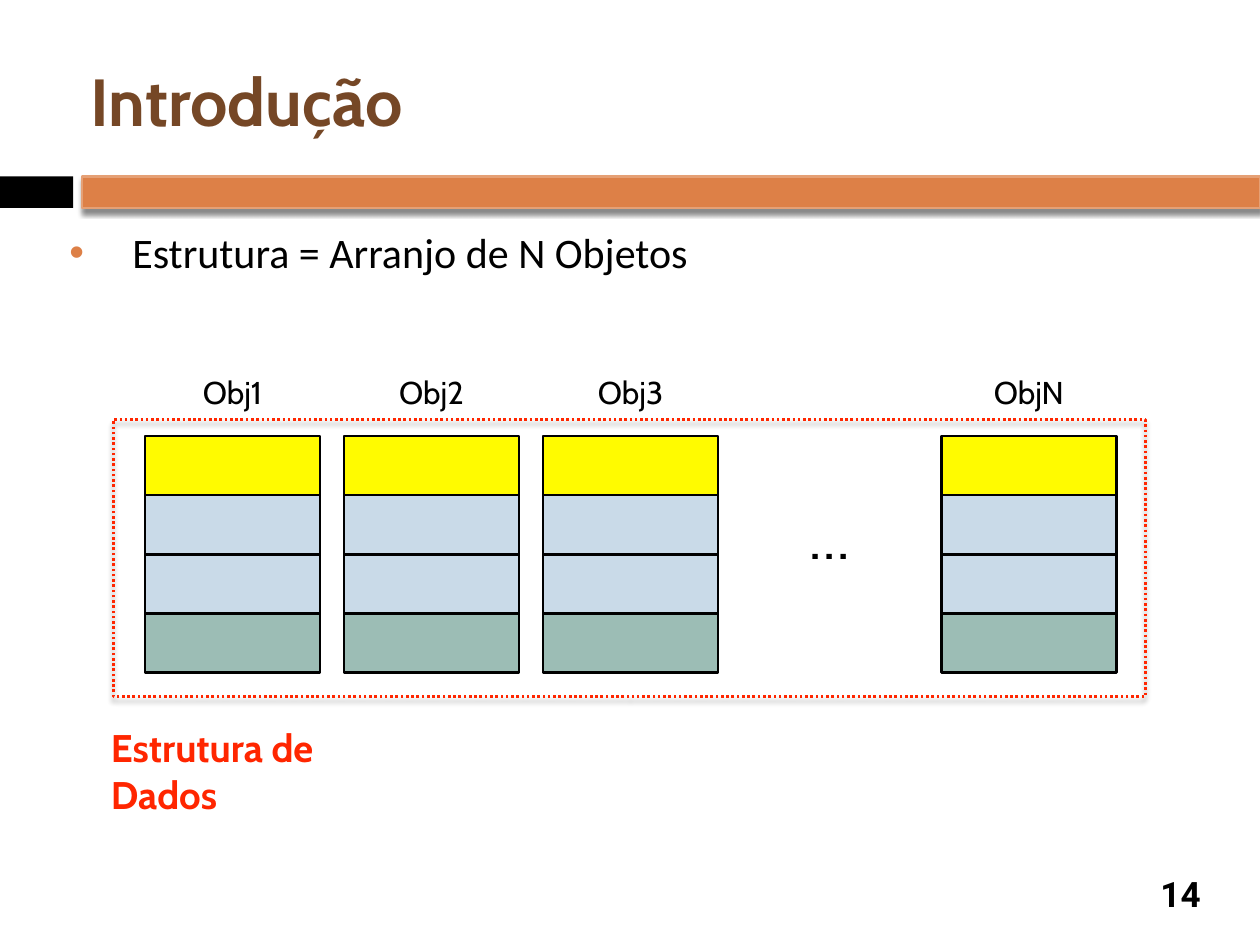
from lxml import etree
from pptx import Presentation
from pptx.dml.color import RGBColor
from pptx.enum.dml import MSO_LINE
from pptx.enum.shapes import MSO_SHAPE
from pptx.enum.text import MSO_ANCHOR, MSO_AUTO_SIZE, PP_ALIGN
from pptx.oxml.ns import qn
from pptx.util import Inches, Pt

RECTANGLE = MSO_SHAPE.RECTANGLE
DOTTED = MSO_LINE.ROUND_DOT
LEFT, CENTER = PP_ALIGN.LEFT, PP_ALIGN.CENTER
TOP, MIDDLE = MSO_ANCHOR.TOP, MSO_ANCHOR.MIDDLE
NO_AUTOFIT = MSO_AUTO_SIZE.NONE

THEME = {
    "black": "000000", "orange": "DD8047", "light orange": "E5A075",
    "brown": "754726", "red": "FF2600", "yellow": "FFFB00",
    "blue": "C9DAE8", "green": "9CBDB5",
    "title": {"name": "Cabin", "size": Pt(38), "bold": True},
    "body": {"name": "Calibri", "size": Pt(24), "bold": False},
    "label": {"name": "Cabin", "size": Pt(18), "bold": False},
    "ellipsis": {"name": "Cabin", "size": Pt(34), "bold": False},
    "caption": {"name": "Cabin", "size": Pt(22), "bold": True},
    "number": {"name": "Roboto", "size": Pt(20), "bold": True},
}

presentation = Presentation()
presentation.slide_width, presentation.slide_height = Inches(10), Inches(7.5)
slide = presentation.slides.add_slide(presentation.slide_layouts[5])


def add_rectangle(box, fill=None, line=None, shadow=False):
    shape = slide.shapes.add_shape(RECTANGLE, *map(Inches, box))
    shape.shadow.inherit = False
    if fill:
        shape.fill.solid()
        shape.fill.fore_color.rgb = RGBColor.from_string(THEME[fill])
    else:
        shape.fill.background()
    if line:
        shape.line.color.rgb = RGBColor.from_string(THEME[line])
        shape.line.width = Pt(1.5)
    else:
        shape.line.fill.background()
    if shadow:
        effects = shape.element.spPr.find(qn("a:effectLst"))
        outer = etree.SubElement(effects, qn("a:outerShdw"), blurRad=str(Pt(3)),
                                 dist=str(Pt(2.4)), dir="5400000", rotWithShape="0")
        color = etree.SubElement(outer, qn("a:srgbClr"), val=THEME["black"])
        etree.SubElement(color, qn("a:alpha"), val="45000")
    return shape


def write_text(box, text, style, color="black", align=LEFT, anchor=TOP, wrap=True, shape=None):
    """Fill the given placeholder, or a new text box, and return its paragraph."""
    shape = shape or slide.shapes.add_textbox(0, 0, 0, 0)
    shape.left, shape.top, shape.width, shape.height = map(Inches, box)
    frame = shape.text_frame
    frame.text = text
    frame_format = {"word_wrap": wrap, "auto_size": NO_AUTOFIT, "vertical_anchor": anchor}
    for side in ("left", "top", "right", "bottom"):
        frame_format[f"margin_{side}"] = Inches(0.05)
    for name, value in frame_format.items():
        setattr(frame, name, value)
    paragraph = frame.paragraphs[0]
    paragraph.alignment = align
    font = paragraph.runs[0].font
    for name, value in THEME[style].items():
        setattr(font, name, value)
    font.color.rgb = RGBColor.from_string(THEME[color])
    return paragraph


# Header band, title and page number
add_rectangle((0, 1.4, 0.58, 0.25), "black")
add_rectangle((0.65, 1.4, 9.35, 0.25), "orange", "light orange", shadow=True)
write_text((0.67, 0.25, 8.92, 1.08), "Introdução", "title", "brown",
           anchor=MIDDLE, shape=slide.shapes.title)
write_text((9.08, 6.89, 0.58, 0.41), "14", "number", align=CENTER, anchor=MIDDLE)

# Bullet line
bullet = write_text((0.5, 1.75, 9, 0.84), "Estrutura = Arranjo de N Objetos", "body")
properties = bullet._p.get_or_add_pPr()
properties.set("marL", str(Inches(0.5)))
properties.set("indent", str(Inches(-0.5)))
bullet_color = etree.SubElement(properties, qn("a:buClr"))
etree.SubElement(bullet_color, qn("a:srgbClr"), val=THEME["orange"])
etree.SubElement(properties, qn("a:buFont"), typeface="Arial")
etree.SubElement(properties, qn("a:buChar"), char="•")

# Objects: one grid column each, the fourth holds the ellipsis
grid_left, grid_top = 1.15, 3.46
column_step, cell_width, cell_height = 1.58, 1.39, 0.47
row_fills = ("yellow", "blue", "blue", "green")
for column, label in enumerate(("Obj1", "Obj2", "Obj3", "…", "ObjN")):
    left = grid_left + column * column_step
    if label == "…":
        write_text((left, 3.92, cell_width, 0.61), label, "ellipsis", align=CENTER, wrap=False)
        continue
    write_text((left, 2.91, cell_width, 0.36), label, "label", align=CENTER, wrap=False)
    for row, fill in enumerate(row_fills):
        add_rectangle((left, grid_top + row * cell_height, cell_width, cell_height), fill, "black")

# Dotted frame around the whole structure, with its caption
frame_outline = add_rectangle((0.9, 3.33, 8.19, 2.2), line="red", shadow=True)
frame_outline.line.dash_style = DOTTED
write_text((0.83, 5.7, 2.51, 0.8), "Estrutura de Dados", "caption", "red")

presentation.save("out.pptx")
